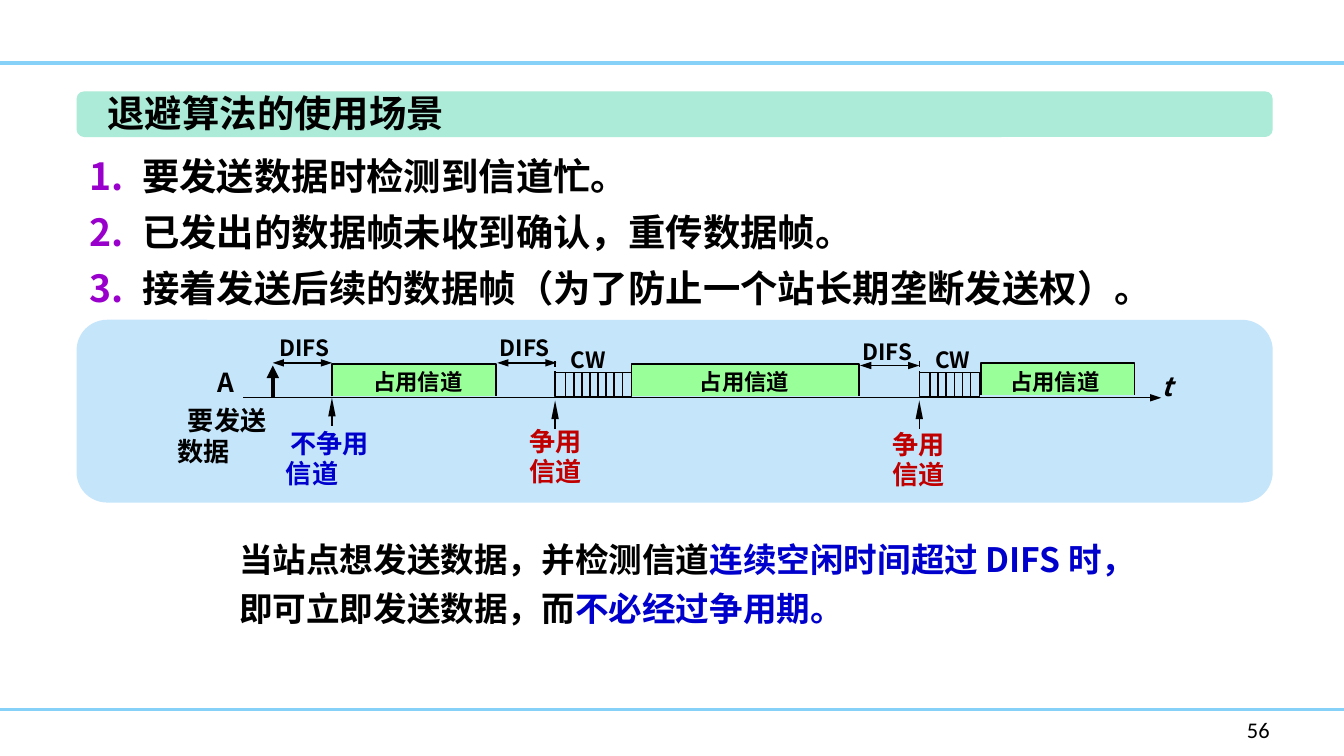
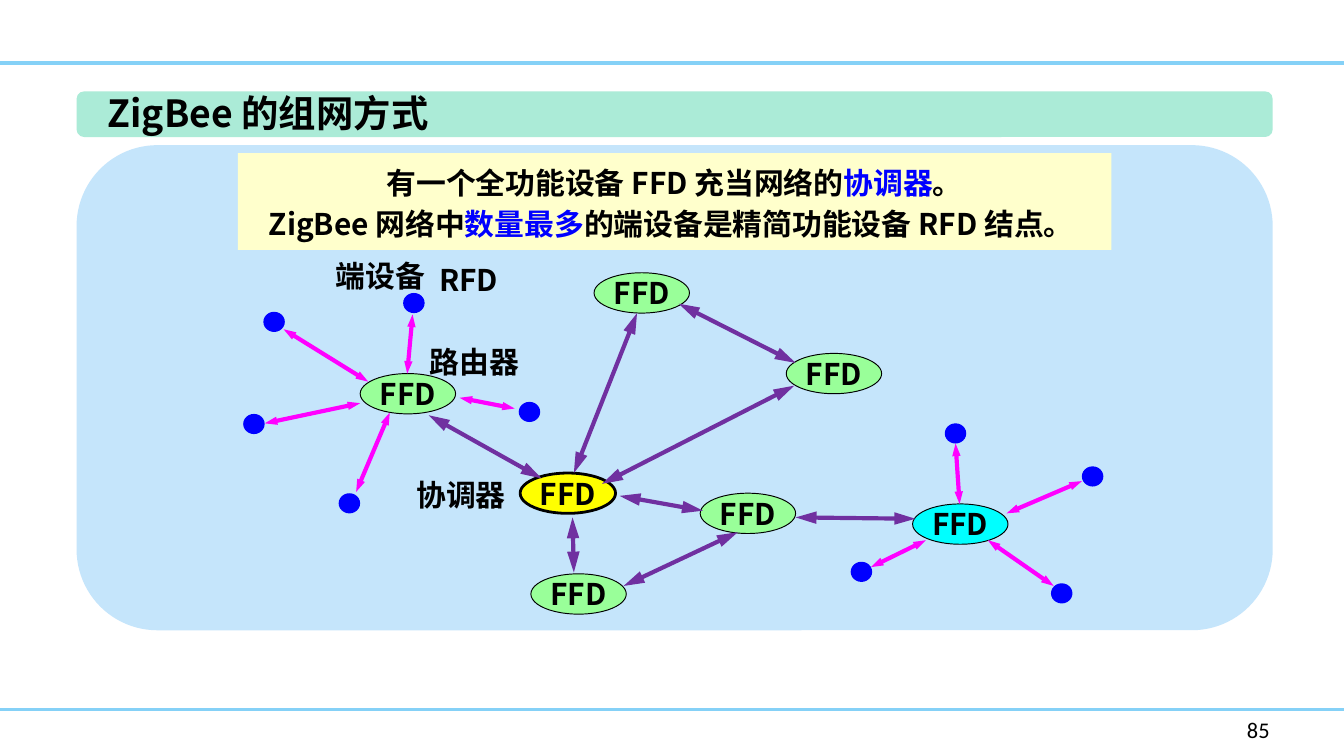
import pptx
import pptx.dml.color
import pptx.enum.dml
import pptx.enum.shapes
import pptx.enum.text
import pptx.oxml
import pptx.oxml.ns
import pptx.util
from lxml import etree

Inches = pptx.util.Inches
Pt = pptx.util.Pt
SHAPE = pptx.enum.shapes.MSO_SHAPE
ALIGN = pptx.enum.text.PP_ALIGN
ANCHOR = pptx.enum.text.MSO_ANCHOR
FIT = pptx.enum.text.MSO_AUTO_SIZE
FONT = "Noto Sans CJK SC"
COLORS = {
    "black": "000000", "rule": "85D1F7", "band": "ABEBD7", "panel": "C5E5FB",
    "busy": "99FF99", "number": "9900CC", "navy": "0000CC", "red": "C00000",
    "note": "FFFFCC", "blue": "0000FF", "cyan": "00FFFF", "yellow": "FFFF00",
    "purple": "7030A0", "magenta": "FF00FF",
}


def color(name):
    return pptx.dml.color.RGBColor.from_string(COLORS[name])


def add_child(parent, tag, **attributes):
    return etree.SubElement(parent, pptx.oxml.ns.qn(tag), attributes)


def write(frame, paragraphs, size=14, ink="black", font=FONT, bold=True, italic=False,
          align=ALIGN.LEFT, anchor=ANCHOR.TOP, wrap=False, grow=True,
          line_pt=None, numbered=False, indents=()):
    """Each paragraph is a string or a list of strings and (string, colour) pairs."""
    frame.word_wrap = wrap
    frame.auto_size = FIT.SHAPE_TO_FIT_TEXT if grow else FIT.NONE
    frame.vertical_anchor = anchor
    for index, parts in enumerate(paragraphs):
        para = frame.paragraphs[0] if index == 0 else frame.add_paragraph()
        para.alignment = align
        para.space_before = Pt(0)
        if line_pt:
            para.line_spacing = Pt(line_pt)
        properties = para._p.get_or_add_pPr()
        if indents:
            properties.set("marL", str(Inches(indents[index])))
        if numbered:
            properties.set("marL", str(Inches(0.39)))
            properties.set("indent", str(Inches(-0.39)))
            add_child(add_child(properties, "a:buClr"), "a:srgbClr", val=COLORS["number"])
            add_child(properties, "a:buFont", typeface="+mj-lt")
            add_child(properties, "a:buAutoNum", type="arabicPeriod")
        for part in [parts] if isinstance(parts, str) else parts:
            text, part_ink = (part, ink) if isinstance(part, str) else part
            span = para.add_run()
            span.text = text
            span.font.size = Pt(size)
            span.font.bold = bold
            span.font.italic = italic
            span.font.color.rgb = color(part_ink)
            span.font.name = font
            add_child(span._r.get_or_add_rPr(), "a:ea", typeface=font)


class Builder:
    def __init__(self, deck):
        self.deck = deck
        self.page = None

    def start(self, title, number, title_width):
        """Add a page with its rules, heading band, title and page number."""
        self.page = self.deck.slides.add_slide(self.deck.slide_layouts[5])
        for y in (0.47, 5.28):
            self.line((0, y), (10, y), "rule", 2)
        self.shape(SHAPE.ROUNDED_RECTANGLE, 0.57, 0.68, 8.9, 0.34, "band")
        heading = self.page.shapes.title
        heading.left, heading.top = Inches(0.7), Inches(0.62)
        heading.width, heading.height = Inches(title_width), Inches(0.44)
        heading.element.getparent().append(heading.element)
        write(heading.text_frame, [title], size=20)
        self.text(9.18, 5.28, 0.63, 0.3, [number], size=12, font="Calibri",
                  bold=False, wrap=True, grow=False)

    def text(self, x, y, width, height, paragraphs, **style):
        box = self.page.shapes.add_textbox(Inches(x), Inches(y), Inches(width), Inches(height))
        write(box.text_frame, paragraphs, **style)

    def finish(self, shape, fill, line, weight):
        shape.shadow.inherit = False
        if fill:
            shape.fill.solid()
            shape.fill.fore_color.rgb = color(fill)
        else:
            shape.fill.background()
        if line:
            shape.line.color.rgb = color(line)
            shape.line.width = Pt(weight)
        else:
            shape.line.fill.background()
        return shape

    def shape(self, kind, x, y, width, height, fill=None, line=None, weight=0.75):
        shape = self.page.shapes.add_shape(kind, Inches(x), Inches(y),
                                           Inches(width), Inches(height))
        return self.finish(shape, fill, line, weight)

    def outline(self, points, fill):
        points = [(Inches(x), Inches(y)) for x, y in points]
        builder = self.page.shapes.build_freeform(*points[0])
        builder.add_line_segments(points[1:], close=False)
        return self.finish(builder.convert_to_shape(), fill, "black", 0.75)

    def line(self, start, end, ink="black", weight=0.75, head=False, tail=False,
             arrow=("sm", "med"), dash=False):
        line = self.page.shapes.add_connector(
            pptx.enum.shapes.MSO_CONNECTOR.STRAIGHT,
            *(Inches(value) for value in (*start, *end)))
        line.line.color.rgb = color(ink)
        line.line.width = Pt(weight)
        if dash:
            line.line.dash_style = pptx.enum.dml.MSO_LINE.DASH
        outline = line.line._get_or_add_ln()
        for wanted, tag in ((head, "a:headEnd"), (tail, "a:tailEnd")):
            if wanted:
                add_child(outline, tag, type="triangle", w=arrow[0], len=arrow[1])
        add_child(line._element.spPr, "a:effectLst")


def build_backoff(sheet):
    sheet.start("退避算法的使用场景", "56", 2.81)
    sheet.shape(SHAPE.ROUNDED_RECTANGLE, 0.57, 2.38, 8.9, 1.36, "panel")
    sheet.text(0.57, 1.01, 8.9, 1.36, [
        "要发送数据时检测到信道忙。",
        "已发出的数据帧未收到确认，重传数据帧。",
        "接着发送后续的数据帧（为了防止一个站长期垄断发送权）。",
    ], size=20, line_pt=30, numbered=True, wrap=True)

    # Busy periods on the time axis
    axis = 2.96
    for left, right, top, label in ((2.47, 3.69, 2.71, 2.67), (4.7, 6.39, 2.71, 5.1),
                                    (7.3, 8.44, 2.7, 7.41)):
        bottom = top + 0.24
        sheet.outline([(left, bottom), (left, top), (right, top), (right, bottom)], "busy")
        sheet.text(label, 2.69, 0.88, 0.3, ["占用信道"], size=12, align=ALIGN.CENTER)
    sheet.line((1.81, axis), (8.64, axis), tail=True)
    sheet.text(8.54, 2.71, 0.28, 0.34, ["t"], italic=True)

    # Waiting gaps
    for left, y, label_x, label_y in ((2.03, 2.7, 1.98, 2.44), (3.7, 2.7, 3.62, 2.44),
                                      (6.4, 2.72, 6.32, 2.47)):
        sheet.line((left, y), (left + 0.44, y), head=True, tail=True)
        sheet.text(label_x, label_y, 0.59, 0.3, ["DIFS"], size=12)

    # Contention windows
    for left, width, ticks, label_x, label_y in ((4.13, 0.57, 8, 3.84, 3.13),
                                                 (6.84, 0.45, 6, 6.54, 3.15)):
        sheet.shape(SHAPE.RECTANGLE, left, 2.77, width, 0.18, line="black")
        for tick in range(ticks):
            x = left + 0.08 + 0.06 * tick
            sheet.line((x, 2.77), (x, 2.95))
        sheet.line((left, 2.69), (left, axis), dash=True)
        sheet.text(left + 0.02, 2.53, 0.5, 0.3, ["CW"], size=12)
        sheet.line((left, 2.98), (left, 3.19), head=True, arrow=("sm", "lg"))
        sheet.text(label_x, label_y, 0.64, 0.55, ["争用", "信道"],
                   ink="red", line_pt=16, wrap=True)

    # Station A and its first transmission
    sheet.line((2.03, axis), (2.03, 2.72), weight=2.25, tail=True, arrow=("med", "med"))
    sheet.text(1.52, 2.68, 0.35, 0.34, ["A"])
    sheet.text(1.2, 2.96, 0.98, 0.57, ["要发送", "数据"], indents=(0.1, 0.02), wrap=True)
    sheet.line((2.47, axis), (2.47, 3.17), head=True, arrow=("sm", "lg"))
    sheet.text(2.03, 3.14, 0.86, 0.55, ["不争用", "信道"], ink="navy", line_pt=16,
               indents=(0.03, 0), wrap=True)

    # Conclusion
    sheet.text(1.68, 3.9, 7.09, 0.83, [[
        "当站点想发送数据，并检测信道", ("连续空闲时间超过 DIFS 时，", "navy"),
        "即可立即发送数据，而", ("不必经过争用期。", "navy"),
    ]], size=18, line_pt=26, wrap=True)


def build_zigbee(sheet):
    sheet.start("ZigBee 的组网方式", "85", 2.66)
    sheet.shape(SHAPE.ROUNDED_RECTANGLE, 0.57, 1.08, 8.9, 3.61, "panel")
    note = sheet.shape(SHAPE.RECTANGLE, 1.77, 1.14, 6.5, 0.72, "note")
    write(note.text_frame, [
        ["有一个全功能设备 FFD 充当网络的", ("协调器", "blue"), "。"],
        ["ZigBee 网络中", ("数量最多", "blue"), "的端设备是精简功能设备 RFD 结点。 "],
    ], size=16, line_pt=22, align=ALIGN.CENTER, wrap=True)

    # End devices
    for x, y in ((3, 2.18), (7.82, 4.34), (6.33, 4.18), (8.05, 3.47), (7.03, 3.15),
                 (1.96, 2.32), (1.81, 3.08), (2.52, 3.67), (3.86, 2.99)):
        sheet.shape(SHAPE.OVAL, x, y, 0.16, 0.15, "blue")

    # Full-function devices
    for x, y, fill, weight in (
            (2.68, 2.78, "busy", 0.5), (3.95, 4.27, "busy", 0.5), (5.85, 2.63, "busy", 0.5),
            (4.42, 2.03, "busy", 0.5), (5.21, 3.67, "busy", 0.5), (6.79, 3.75, "cyan", 0.5),
            (3.87, 3.52, "yellow", 1.5)):
        device = sheet.shape(SHAPE.OVAL, x, y, 0.71, 0.3, fill, "black", weight)
        write(device.text_frame, ["FFD"], size=16, align=ALIGN.CENTER,
              anchor=ANCHOR.MIDDLE, grow=False)

    # Links between full-function devices, then links to end devices
    backbone = (
        ((4.74, 2.33), (4.27, 3.52)), ((3.19, 3.09), (4.03, 3.56)),
        ((5.05, 2.26), (5.92, 2.7)), ((5.91, 2.87), (4.48, 3.6)),
        ((4.26, 3.85), (4.27, 4.26)), ((5.23, 3.8), (4.61, 3.69)),
        ((6.81, 3.86), (5.92, 3.85)), ((5.49, 3.96), (4.64, 4.36)),
    )
    leaves = (
        ((2.11, 2.45), (2.74, 2.84)), ((3.42, 2.96), (3.83, 3.04)),
        ((3.07, 2.34), (3.03, 2.78)), ((1.97, 3.15), (2.68, 3)),
        ((8.05, 3.58), (7.49, 3.82)), ((7.11, 3.3), (7.14, 3.75)),
        ((2.9, 3.07), (2.65, 3.66)), ((7.35, 4.02), (7.84, 4.36)),
        ((6.89, 4.02), (6.48, 4.22)),
    )
    for links, ink, arrow in ((backbone, "purple", ("med", "lg")),
                              (leaves, "magenta", ("sm", "med"))):
        for start, end in links:
            sheet.line(start, end, ink, 2.25, head=True, tail=True, arrow=arrow)

    # Role labels
    for x, y, width, label in ((3.17, 1.9, 0.66, "RFD"), (2.4, 1.87, 0.88, "端设备"),
                               (3.1, 2.51, 0.88, "路由器"), (3, 3.5, 0.88, "协调器")):
        sheet.text(x, y, width, 0.37, [label], size=16)


def main():
    deck = pptx.Presentation()
    deck.slide_width = Inches(10)
    deck.slide_height = deck.slide_width * 9 // 16
    sheet = Builder(deck)
    build_backoff(sheet)
    build_zigbee(sheet)
    deck.save("out.pptx")


if __name__ == "__main__":
    main()
